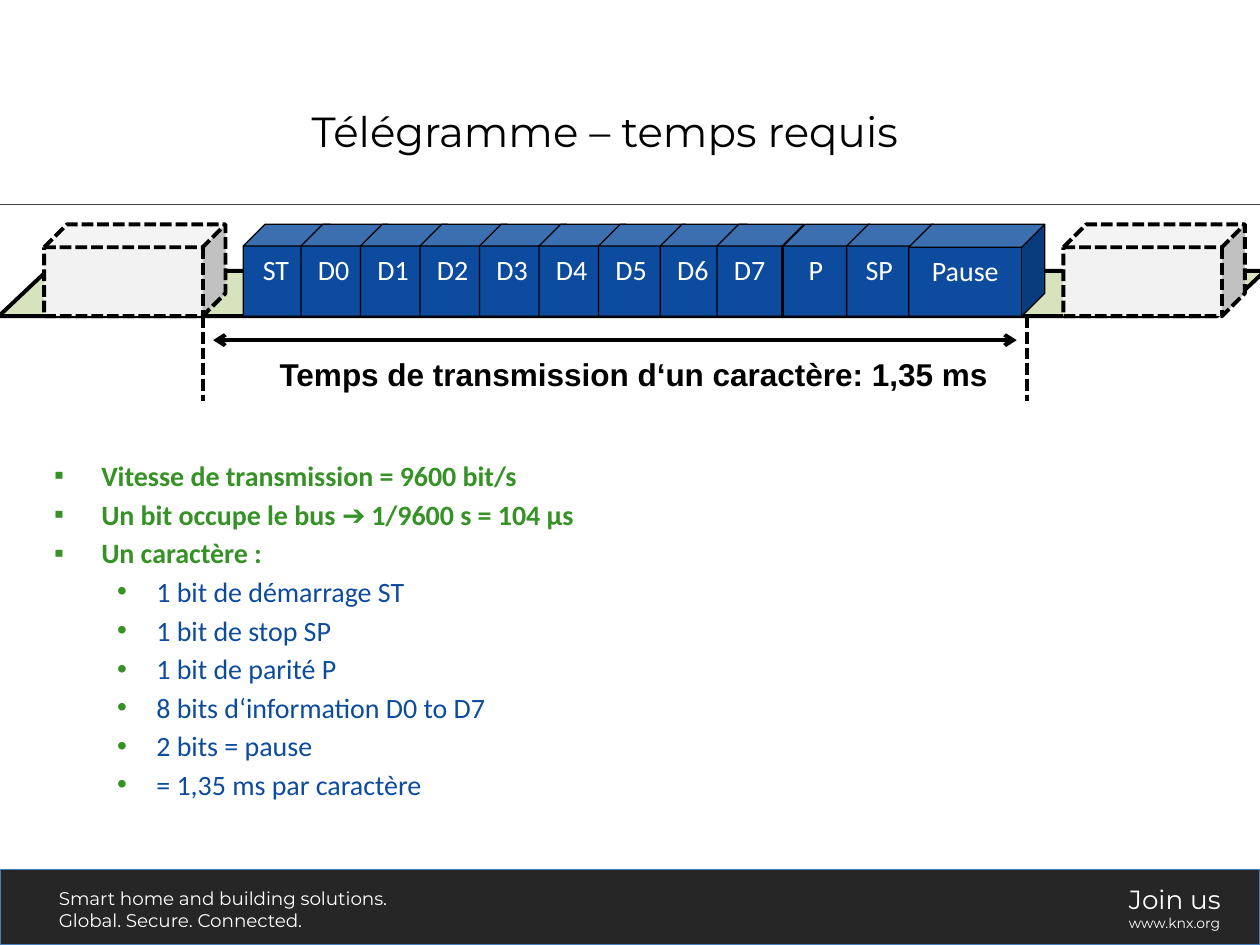
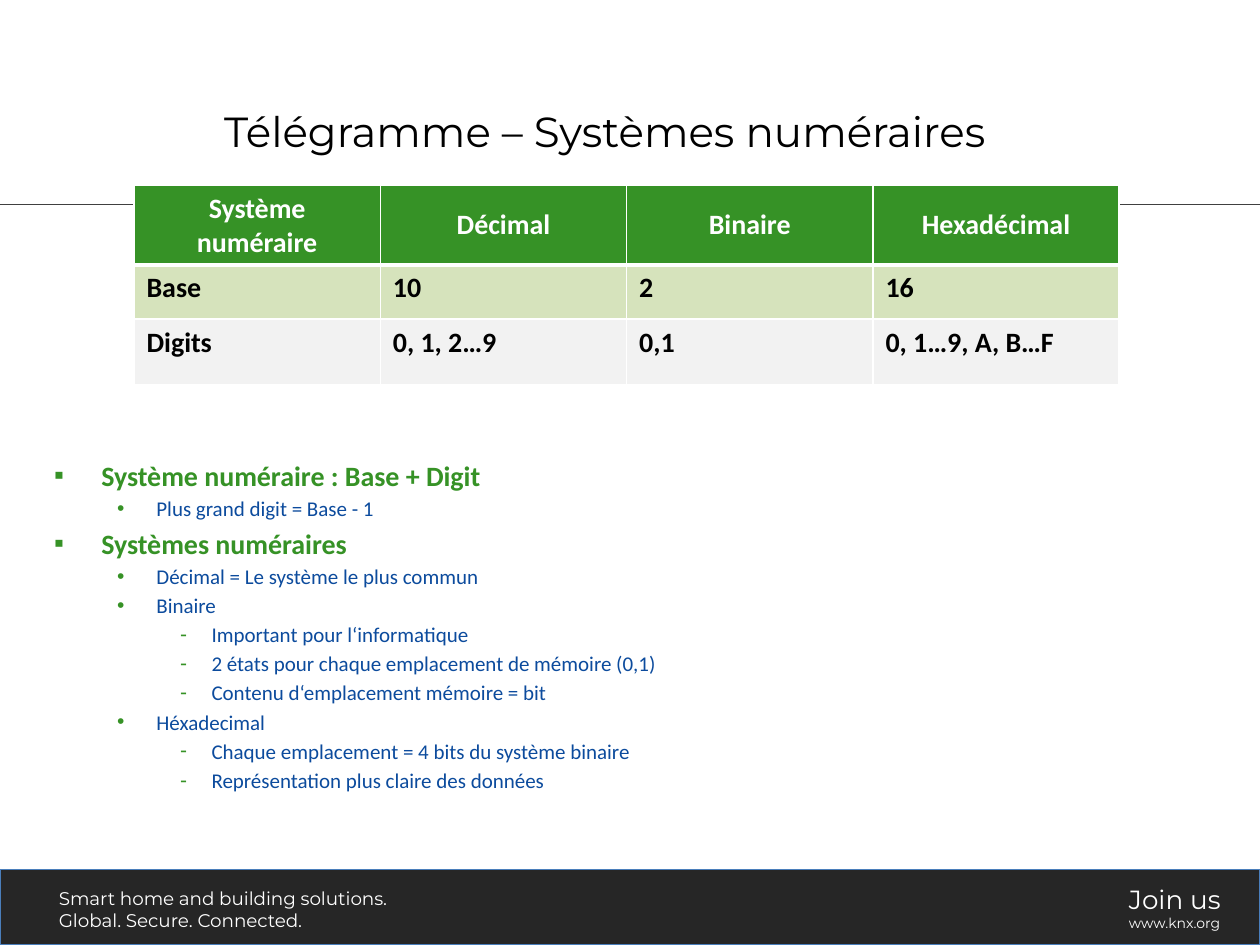
import dataclasses
import typing

import lxml.etree
import pptx
import pptx.dml.color
import pptx.enum.dml
import pptx.enum.shapes
import pptx.enum.text
import pptx.oxml.ns
import pptx.util

Pt = pptx.util.Pt
Shape = pptx.enum.shapes.MSO_SHAPE
Align = pptx.enum.text.PP_ALIGN
Anchor = pptx.enum.text.MSO_ANCHOR


@dataclasses.dataclass(frozen=True)
class Theme:
    black: str = "000000"
    white: str = "FFFFFF"
    green: str = "369226"
    blue: str = "0C4B9D"
    pale_green: str = "D6E3BC"
    pale_grey: str = "F2F2F2"
    band: str = "262626"
    band_edge: str = "4A7EBB"
    rule: str = "404040"
    brand_font: str = "Montserrat"
    body_font: str = "Calibri"
    label_font: str = "Arial"
    title_size: float = 24
    label_size: float = 18
    body_size: float = 16
    small_size: float = 12
    join_size: float = 15
    slogan_size: float = 10.5
    address_size: float = 8
    thin: float = 0.75
    thick: float = 2.25


class Box(typing.NamedTuple):
    left: float
    top: float
    width: float
    height: float

    def inner(self, left, top, width, height):
        return Box(self.left + left, self.top + top, width, height)

    def lengths(self):
        return [Pt(value) for value in self]


class Level(typing.NamedTuple):
    bullet: str
    margin: float
    hanging: float


THEME = Theme()
LEVELS = [Level("▪", 27, 27), Level("•", 58.5, 22.5), Level("-", 90, 18)]
PAGE = Box(0, 0, 720, 540)
FOOTER = Box(0, 496.8, 720, 43.2)
TITLE = Box(70.5, 54.7, 550, 39.6)
TELEGRAM = Box(0, 128.2, 720, 101)
NUMBER_TABLE = Box(76.6, 105.8, 563, 114)
BULLETS = Box(23.8, 258.5, 640.8, 221)

BITS = ["ST", "D0", "D1", "D2", "D3", "D4", "D5", "D6", "D7", "P", "SP", "Pause"]
BIT_LEFTS = [139, 172, 206, 240, 274, 308, 342, 377.3, 409.7, 447.5, 483.8, 519.3]

TIMING_POINTS = [
    (0, "Vitesse de transmission = 9600 bit/s"),
    (0, "Un bit occupe le bus ➔ 1/9600 s = 104 µs"),
    (0, "Un caractère :"),
    (1, "1 bit de démarrage ST"),
    (1, "1 bit de stop SP"),
    (1, "1 bit de parité P"),
    (1, "8 bits d‘information D0 to D7"),
    (1, "2 bits = pause"),
    (1, "= 1,35 ms par caractère"),
]
NUMBER_ROWS = [
    ["Système numéraire", "Décimal", "Binaire", "Hexadécimal"],
    ["Base", "10", "2", "16"],
    ["Digits", "0, 1, 2…9", "0,1", "0, 1…9, A, B…F"],
]
NUMBER_POINTS = [
    (0, "Système numéraire : Base + Digit"),
    (1, "Plus grand digit = Base - 1"),
    (0, "Systèmes numéraires"),
    (1, "Décimal = Le système le plus commun"),
    (1, "Binaire"),
    (2, "Important pour l‘informatique"),
    (2, "2 états pour chaque emplacement de mémoire (0,1)"),
    (2, "Contenu d‘emplacement mémoire = bit"),
    (1, "Héxadecimal"),
    (2, "Chaque emplacement = 4 bits du système binaire"),
    (2, "Représentation plus claire des données"),
]


def rgb(colour):
    return pptx.dml.color.RGBColor.from_string(colour)


def add_xml(parent, tag, **attributes):
    return lxml.etree.SubElement(parent, pptx.oxml.ns.qn(tag), attributes)


def style_font(para, font_name, size, colour, bold=False):
    font = para.font
    font.name, font.size, font.bold = font_name, Pt(size), bold
    font.color.rgb = rgb(colour)


def style_line(line, colour, width, dashed=False):
    line.color.rgb = rgb(colour)
    line.width = Pt(width)
    if dashed:
        line.dash_style = pptx.enum.dml.MSO_LINE.SQUARE_DOT


def add_text(page, box, lines, font_name, sizes, colour, align=Align.LEFT,
             anchor=Anchor.TOP, bold=False, wrap=True):
    """Add a text box with one paragraph for each line and its size."""
    frame = page.shapes.add_textbox(*box.lengths()).text_frame
    frame.word_wrap = wrap
    frame.vertical_anchor = anchor
    frame.text = "\n".join(lines)
    for para, size in zip(frame.paragraphs, sizes):
        para.alignment = align
        style_font(para, font_name, size, colour, bold)


def add_block(page, kind, box, fill, line_colour, width, dashed=False):
    shape = page.shapes.add_shape(kind, *box.lengths())
    shape.shadow.inherit = False
    shape.fill.solid()
    shape.fill.fore_color.rgb = rgb(fill)
    style_line(shape.line, line_colour, width, dashed)
    return shape


def add_line(page, start, end, colour, width, dashed=False, arrows=False):
    line = page.shapes.add_connector(
        pptx.enum.shapes.MSO_CONNECTOR.STRAIGHT, *[Pt(value) for value in start + end])
    style_line(line.line, colour, width, dashed)
    if arrows:
        outline = line.line._get_or_add_ln()
        add_xml(outline, "a:headEnd", type="arrow")
        add_xml(outline, "a:tailEnd", type="arrow")
    add_xml(line._element.spPr, "a:effectLst")


def add_footer(page, box):
    add_block(page, Shape.RECTANGLE, box, THEME.band, THEME.band_edge, THEME.thin)
    add_text(page, box.inner(26.6, 6.5, 211, 32.4),
             ["Smart home and building solutions.", "Global. Secure. Connected."],
             THEME.brand_font, [THEME.slogan_size] * 2, THEME.white)
    add_text(page, box.inner(638, 4.3, 68, 36.7), ["Join us", "www.knx.org"],
             THEME.brand_font, [THEME.join_size, THEME.address_size], THEME.white)


def add_page(deck, title):
    """Add a page with the rule, footer and title that all pages share."""
    page = deck.slides.add_slide(deck.slide_layouts[6])
    add_footer(page, FOOTER)
    add_line(page, (0, 116.6), (PAGE.width, 116.6), THEME.rule, 0.5)
    add_text(page, TITLE, [title], THEME.brand_font, [THEME.title_size],
             THEME.black, Align.CENTER, Anchor.MIDDLE)
    return page


def add_bit(page, box, label):
    cube = add_block(page, Shape.CUBE, box, THEME.blue, THEME.black, THEME.thin)
    frame = cube.text_frame
    frame.margin_left = frame.margin_right = 0
    frame.vertical_anchor = Anchor.TOP
    frame.text = label
    para = frame.paragraphs[0]
    para.alignment = Align.CENTER
    style_font(para, THEME.body_font, THEME.body_size, THEME.white)


def add_telegram(page, box):
    """Draw the bits on the bus strip, with the time they take below."""
    cube_height = 52.5
    strip = add_block(page, Shape.PARALLELOGRAM, box.inner(-0.7, 26.6, 723.6, 25.9),
                      THEME.pale_green, THEME.black, THEME.thick)
    strip.adjustments[0] = 1.06
    for left in (25.2, 607.7):
        add_block(page, Shape.CUBE, box.inner(left, 0, 103.7, cube_height),
                  THEME.pale_grey, THEME.black, THEME.thick, dashed=True)
    for label, left in zip(BITS, BIT_LEFTS):
        width = 77.7 if label == "Pause" else 49.7
        add_bit(page, box.inner(left, 0, width, cube_height), label)

    start, end = box.left + 116, box.left + 586.8
    for x in (start, end):
        add_line(page, (x, box.top + cube_height), (x, box.top + box.height),
                 THEME.black, THEME.thick, dashed=True)
    arrow_top = box.top + 66.2
    add_line(page, (start + 5.8, arrow_top), (end - 5.8, arrow_top),
             THEME.black, THEME.thick, arrows=True)
    add_text(page, box.inner(150.5, 71.2, 423.4, 29),
             ["Temps de transmission d‘un caractère: 1,35 ms"], THEME.label_font,
             [THEME.label_size], THEME.black, Align.CENTER, Anchor.MIDDLE,
             bold=True, wrap=False)


def add_bullets(page, box, points, detail_size):
    frame = page.shapes.add_textbox(*box.lengths()).text_frame
    frame.word_wrap = True
    frame.text = "\n".join(text for _, text in points)
    for index, (para, (depth, _)) in enumerate(zip(frame.paragraphs, points)):
        level = LEVELS[depth]
        size = detail_size if depth else THEME.body_size
        para.level = depth
        properties = para._p.get_or_add_pPr()
        properties.set("marL", str(Pt(level.margin)))
        properties.set("indent", str(-Pt(level.hanging)))
        add_xml(add_xml(properties, "a:buClr"), "a:srgbClr", val=THEME.green)
        add_xml(properties, "a:buFont", typeface=THEME.label_font)
        add_xml(properties, "a:buChar", char=level.bullet)
        if index:
            para.space_before = Pt(round(size * 0.18, 1))
        style_font(para, THEME.body_font, size,
                   THEME.blue if depth else THEME.green, bold=depth == 0)


def add_cell_borders(cell, top, bottom):
    properties = cell._tc.get_or_add_tcPr()
    for tag, width in (("a:lnL", 1), ("a:lnR", 1), ("a:lnT", top), ("a:lnB", bottom)):
        border = add_xml(properties, tag, w=str(Pt(width)))
        add_xml(add_xml(border, "a:solidFill"), "a:srgbClr", val=THEME.white)


def add_number_table(page, box):
    table = page.shapes.add_table(
        len(NUMBER_ROWS), len(NUMBER_ROWS[0]), *box.lengths()).table
    table.horz_banding = False
    for column in table.columns:
        column.width = Pt(box.width / len(NUMBER_ROWS[0]))
    fills = [THEME.green, THEME.pale_green, THEME.pale_grey]
    for index, (texts, height, fill) in enumerate(zip(NUMBER_ROWS, (45.5, 31, 37.5), fills)):
        table.rows[index].height = Pt(height)
        header = index == 0
        for cell, text in zip(table.rows[index].cells, texts):
            add_cell_borders(cell, 3 if index == 1 else 1, 3 if header else 1)
            cell.fill.solid()
            cell.fill.fore_color.rgb = rgb(fill)
            cell.vertical_anchor = Anchor.MIDDLE if header else Anchor.TOP
            cell.text = text
            para = cell.text_frame.paragraphs[0]
            para.alignment = Align.CENTER if header else Align.LEFT
            style_font(para, THEME.body_font, THEME.body_size,
                       THEME.white if header else THEME.black, bold=True)


def build_timing_page(deck):
    page = add_page(deck, "Télégramme – temps requis")
    add_telegram(page, TELEGRAM)
    add_bullets(page, BULLETS, TIMING_POINTS, THEME.body_size)


def build_number_page(deck):
    page = add_page(deck, "Télégramme – Systèmes numéraires")
    add_number_table(page, NUMBER_TABLE)
    add_bullets(page, BULLETS, NUMBER_POINTS, THEME.small_size)


def main():
    deck = pptx.Presentation()
    deck.slide_width, deck.slide_height = Pt(PAGE.width), Pt(PAGE.height)
    build_timing_page(deck)
    build_number_page(deck)
    deck.save("out.pptx")


if __name__ == "__main__":
    main()
